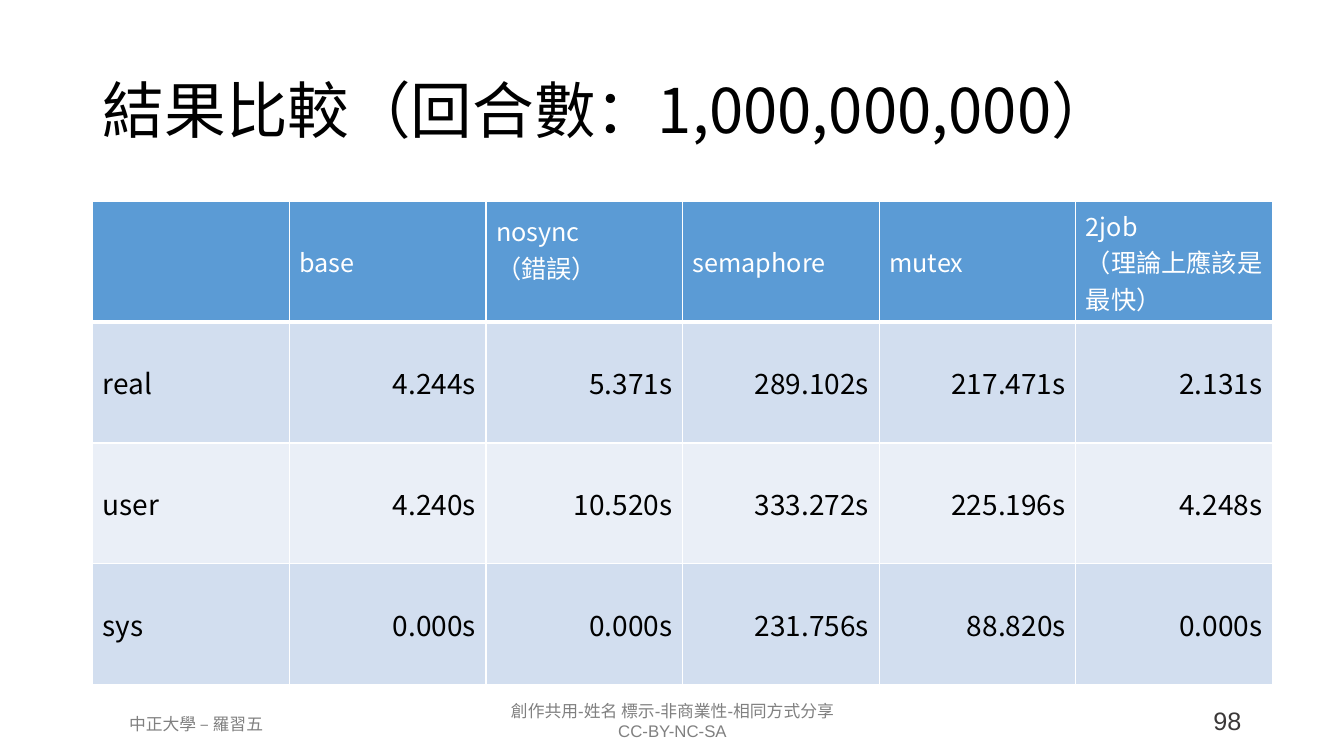
from lxml.etree import SubElement as Sub
from pptx import Presentation as Deck
from pptx.dml.color import RGBColor as Color
from pptx.enum.text import MSO_ANCHOR as Anchor, PP_ALIGN as Align
from pptx.oxml.ns import qn
from pptx.util import Pt

PX = 9144
SANS = "Noto Sans CJK SC"
HUES = {"head": "5B9BD5", "odd": "D2DEEF", "even": "EAEFF7", "white": "FFFFFF",
        "black": "000000", "gray": "808080", "dark": "3B3838"}
ROWS = [
    ["", "base", "nosync\n（錯誤）", "semaphore", "mutex", "2job\n（理論上應該是最快）"],
    ["real", "4.244s", "5.371s", "289.102s", "217.471s", "2.131s"],
    ["user", "4.240s", "10.520s", "333.272s", "225.196s", "4.248s"],
    ["sys", "0.000s", "0.000s", "231.756s", "88.820s", "0.000s"],
]
FOOT = [
    ("創作共用-姓名 標示-非商業性-相同方式分享\nCC-BY-NC-SA", (421, 690, 492, 50),
     {"align": Align.CENTER}),
    ("中正大學 – 羅習五", (69, 703, 251, 30), {"align": Align.CENTER}),
    ("98", (996, 695, 245, 40), {"size": 18, "hue": "dark", "align": Align.RIGHT}),
]


def hue(name):
    """Return the named colour."""
    return Color.from_string(HUES[name])


def place(shape, box):
    """Move a shape to a box given in px."""
    shape.left, shape.top, shape.width, shape.height = [n * PX for n in box]


def write(frame, text, size=12, face="Arial", hue_name="gray", align=Align.LEFT, lead=None):
    """Fill a text frame, one paragraph for each line."""
    frame.word_wrap = True
    frame.text = text
    for para in frame.paragraphs:
        para.alignment = align
        para.line_spacing = lead
        for run in para.runs:
            font = run.font
            font.size, font.name = Pt(size), face
            font.color.rgb = hue(hue_name)
            if face == SANS:
                Sub(font._element, qn("a:ea"), typeface=face)


def label(slide, text, box, hue="gray", **form):
    """Add a text box."""
    shape = slide.shapes.add_textbox(0, 0, 0, 0)
    place(shape, box)
    write(shape.text_frame, text, hue_name=hue, **form)
    shape.text_frame.vertical_anchor = Anchor.MIDDLE


def edge(cell, side, width):
    """Draw one white border of a cell."""
    line = Sub(cell._tc.get_or_add_tcPr(), qn(f"a:ln{side}"), w=str(Pt(width)))
    fill = Sub(line, qn("a:solidFill"))
    Sub(fill, qn("a:srgbClr"), val=HUES["white"])


def grid(slide, rows, box):
    """Add the table of run times with equal rows and columns."""
    shape = slide.shapes.add_table(len(rows), len(rows[0]), *[n * PX for n in box])
    table = shape.table
    for r, row in enumerate(rows):
        head = r == 0
        back = "head" if head else "odd" if r % 2 else "even"
        for c, text in enumerate(row):
            cell = table.cell(r, c)
            for side in "LRTB":
                thick = (side == "B" and head) or (side == "T" and r == 1)
                edge(cell, side, 3 if thick else 1)
            cell.fill.solid()
            cell.fill.fore_color.rgb = hue(back)
            cell.vertical_anchor = Anchor.MIDDLE
            write(cell.text_frame, text, size=18 if head else 20, face=SANS,
                  hue_name="white" if head else "black",
                  align=Align.LEFT if head or c == 0 else Align.RIGHT)
    table.cell(0, 2).margin_bottom = 31 * PX


def main():
    """Build the slide and save it."""
    deck = Deck()
    deck.slide_width, deck.slide_height = 1333 * PX, 750 * PX
    slide = deck.slides.add_slide(deck.slide_layouts[5])
    for text, box, form in FOOT:
        label(slide, text, box, **form)
    title = slide.shapes.title
    place(title, (92, 40, 1150, 145))
    write(title.text_frame, "結果比較（回合數：1,000,000,000）", size=44, face=SANS,
          hue_name="black", lead=0.9)
    title.text_frame.vertical_anchor = Anchor.MIDDLE
    grid(slide, ROWS, (92, 200, 1170, 479))
    deck.save("out.pptx")


if __name__ == "__main__":
    main()
